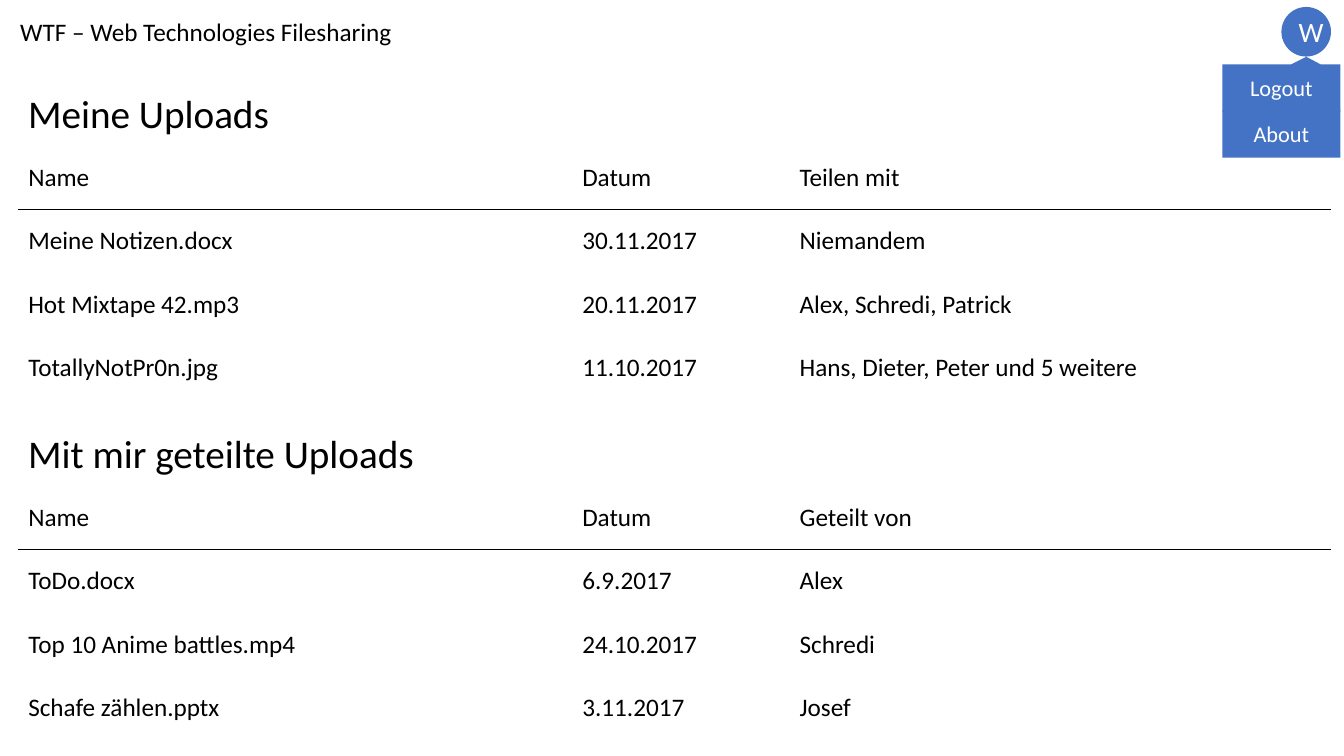
from lxml import etree
from pptx import Presentation
from pptx.dml.color import RGBColor
from pptx.enum.shapes import MSO_CONNECTOR, MSO_SHAPE
from pptx.enum.text import MSO_ANCHOR, MSO_AUTO_SIZE, PP_ALIGN
from pptx.oxml.ns import qn
from pptx.util import Pt

LEFT, CENTER = PP_ALIGN.LEFT, PP_ALIGN.CENTER
MIDDLE = MSO_ANCHOR.MIDDLE
NO_AUTOFIT = MSO_AUTO_SIZE.NONE
STRAIGHT = MSO_CONNECTOR.STRAIGHT
OVAL, RECT = MSO_SHAPE.OVAL, MSO_SHAPE.RECTANGLE
CALLOUT = MSO_SHAPE.RECTANGULAR_CALLOUT

BLACK = RGBColor(0x00, 0x00, 0x00)
WHITE = RGBColor(0xFF, 0xFF, 0xFF)
BLUE = RGBColor(0x44, 0x72, 0xC4)

FONT = "Calibri"
SLIDE_W, SLIDE_H = 960, 540
ROW_H = 45.36
COLUMNS = (395.7, 155.3, 386.4)
TABLE_DROP = 1.1
RULE_DROP = 1.5

MY_UPLOADS = (
    ("Name", "Datum", "Teilen mit"),
    ("Meine Notizen.docx", "30.11.2017", "Niemandem"),
    ("Hot Mixtape 42.mp3", "20.11.2017", "Alex, Schredi, Patrick"),
    ("TotallyNotPr0n.jpg", "11.10.2017", "Hans, Dieter, Peter und 5 weitere"),
)
SHARED_UPLOADS = (
    ("Name", "Datum", "Geteilt von"),
    ("ToDo.docx", "6.9.2017", "Alex"),
    ("Top 10 Anime battles.mp4", "24.10.2017", "Schredi"),
    ("Schafe zählen.pptx", "3.11.2017", "Josef"),
)


def paint(part, color):
    part.fill.solid()
    part.fill.fore_color.rgb = color


def write(tf, text, size, color=BLACK, align=LEFT):
    tf.text = text
    tf.word_wrap = True
    tf.vertical_anchor = MIDDLE
    p = tf.paragraphs[0]
    p.alignment = align
    p.font.name = FONT
    p.font.size = Pt(size)
    p.font.color.rgb = color


def add_block(s, kind, x, y, w, h, fill):
    sp = s.shapes.add_shape(kind, Pt(x), Pt(y), Pt(w), Pt(h))
    sp.shadow.inherit = False
    paint(sp, fill)
    sp.line.fill.background()
    return sp


def add_button(s, kind, x, y, w, h, text, size):
    sp = add_block(s, kind, x, y, w, h, BLUE)
    write(sp.text_frame, text, size, WHITE, CENTER)
    return sp


def add_header(s, x, y, w, h):
    # Application name
    title = s.shapes.title
    title.left, title.top, title.width, title.height = Pt(x), Pt(y), Pt(w), Pt(h)
    paint(title, WHITE)
    tf = title.text_frame
    tf.auto_size = NO_AUTOFIT
    tf.margin_left = Pt(14.4)
    write(tf, "WTF – Web Technologies Filesharing", 18)

    # User badge
    size = 35.4
    add_button(s, OVAL, x + w - size - 9.3, y + 5, size, size, "W", 20)


def add_uploads(s, x, y, heading, rows):
    w = sum(COLUMNS)

    # Heading
    sp = add_block(s, RECT, x, y, w, ROW_H, WHITE)
    write(sp.text_frame, heading, 28)

    # File list
    top = y + ROW_H
    table = s.shapes.add_table(len(rows), len(COLUMNS), Pt(x), Pt(top + TABLE_DROP),
                               Pt(w), Pt(ROW_H * len(rows))).table
    table.first_row = table.horz_banding = False
    for column, width in zip(table.columns, COLUMNS):
        column.width = Pt(width)
    for r, values in enumerate(rows):
        for c, value in enumerate(values):
            cell = table.cell(r, c)
            paint(cell, WHITE)
            cell.vertical_anchor = MIDDLE
            write(cell.text_frame, value, 18)

    # Rule under the column names
    rule_y = Pt(top + ROW_H + RULE_DROP)
    rule = s.shapes.add_connector(STRAIGHT, Pt(x), rule_y, Pt(x + w), rule_y)
    rule.line.color.rgb = BLACK
    rule.line.width = Pt(0.5)
    etree.SubElement(rule._element.spPr, qn("a:effectLst"))


def add_user_menu(s, x, y, w, item_h):
    # First item points up at the user badge
    logout = add_button(s, CALLOUT, x, y, w, item_h, "Logout", 16)
    logout.adjustments[0] = 0.212
    logout.adjustments[1] = -0.662
    add_button(s, RECT, x, y + item_h - 0.8, w, item_h, "About", 16)


def main():
    prs = Presentation()
    prs.slide_width, prs.slide_height = Pt(SLIDE_W), Pt(SLIDE_H)
    s = prs.slides.add_slide(prs.slide_layouts[5])

    add_header(s, 0, 0, SLIDE_W, ROW_H)
    add_uploads(s, 13, 57.6, "Meine Uploads", MY_UPLOADS)
    add_uploads(s, 13, 300.5, "Mit mir geteilte Uploads", SHARED_UPLOADS)
    add_user_menu(s, 873.2, 46, 84.2, 33.7)

    prs.save("out.pptx")


if __name__ == "__main__":
    main()
